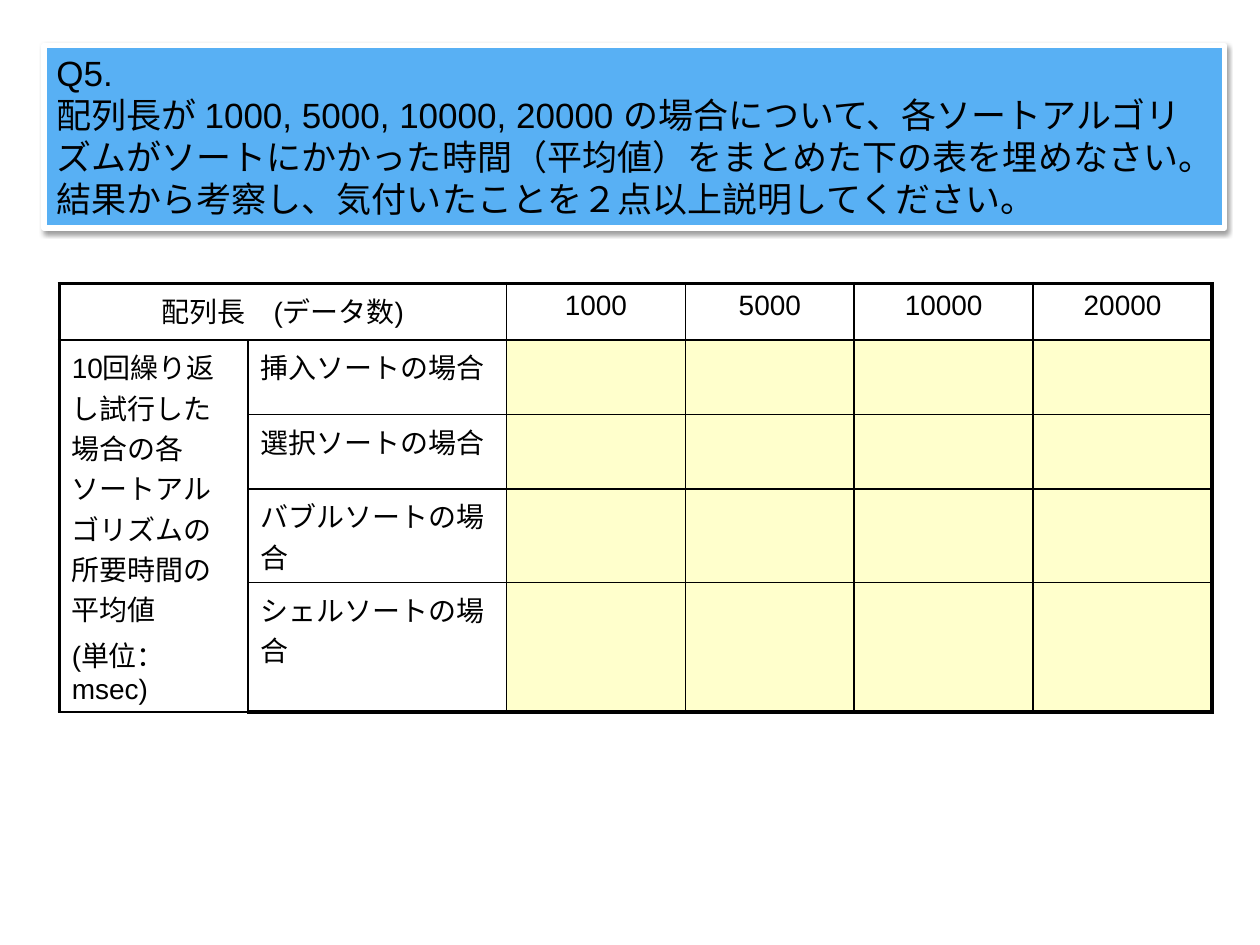
from dataclasses import dataclass

from lxml.etree import SubElement
from pptx import Presentation
from pptx.dml.color import RGBColor
from pptx.enum.shapes import MSO_SHAPE
from pptx.enum.text import MSO_ANCHOR, MSO_AUTO_SIZE, PP_ALIGN
from pptx.oxml.ns import qn
from pptx.util import Pt


@dataclass(frozen=True)
class Theme:
    font: str = "Arial"
    ink: str = "000000"
    paper: str = "FFFFFF"
    banner: str = "58B0F4"
    answer: str = "FFFFCC"
    question_size: float = 20
    table_size: float = 16
    inner_rule: float = 1
    outer_rule: float = 2.25


THEME = Theme()

QUESTION = [
    "Q5.",
    "配列長が 1000, 5000, 10000, 20000 の場合について、各ソートアルゴリズムが"
    "ソートにかかった時間（平均値）をまとめた下の表を埋めなさい。",
    "結果から考察し、気付いたことを２点以上説明してください。",
]
LENGTH_HEADING = "配列長　(データ数)"
LENGTHS = ["1000", "5000", "10000", "20000"]
MEASURE = ["10回繰り返し試行した場合の各ソートアルゴリズムの所要時間の平均値", "(単位：msec)"]
SORTS = ["挿入ソートの場合", "選択ソートの場合", "バブルソートの場合", "シェルソートの場合"]


def write(frame, *lines, size, align=PP_ALIGN.LEFT, gap=0):
    """Fill a text frame with one paragraph per line."""
    for index, line in enumerate(lines):
        paragraph = frame.add_paragraph() if index else frame.paragraphs[0]
        paragraph.alignment = align
        if index and gap:
            paragraph.space_before = Pt(gap)
        run = paragraph.add_run()
        run.text = line
        run.font.name = THEME.font
        run.font.size = Pt(size)
        run.font.color.rgb = RGBColor.from_string(THEME.ink)


def add_soft_shadow(shape):
    shape.shadow.inherit = False
    effects = shape._element.spPr.find(qn("a:effectLst"))
    shadow = SubElement(effects, qn("a:outerShdw"), blurRad=str(Pt(3.1)),
                        dist=str(Pt(1.6)), dir="5400000", rotWithShape="0")
    color = SubElement(shadow, qn("a:srgbClr"), val=THEME.ink)
    SubElement(color, qn("a:alpha"), val="38000")


def add_question(slide, left, top, width, height):
    banner = slide.shapes.add_shape(
        MSO_SHAPE.RECTANGLE, Pt(left), Pt(top), Pt(width), Pt(height))
    banner.fill.solid()
    banner.fill.fore_color.rgb = RGBColor.from_string(THEME.banner)
    banner.line.color.rgb = RGBColor.from_string(THEME.paper)
    banner.line.width = Pt(3)
    add_soft_shadow(banner)
    frame = banner.text_frame
    frame.word_wrap = True
    frame.auto_size = MSO_AUTO_SIZE.SHAPE_TO_FIT_TEXT
    frame.vertical_anchor = MSO_ANCHOR.TOP
    write(frame, *QUESTION, size=THEME.question_size)


def rule_cell(cell, outer_sides):
    """Draw all four borders, heavier on the table's outer sides."""
    properties = cell._tc.get_or_add_tcPr()
    for side in "LRTB":
        weight = THEME.outer_rule if side in outer_sides else THEME.inner_rule
        border = SubElement(properties, qn(f"a:ln{side}"), w=str(Pt(weight)))
        fill = SubElement(border, qn("a:solidFill"))
        SubElement(fill, qn("a:srgbClr"), val=THEME.ink)


def add_timing_table(slide, left, top, column_widths, row_heights):
    last_row, last_column = len(row_heights) - 1, len(column_widths) - 1
    table = slide.shapes.add_table(
        len(row_heights), len(column_widths), Pt(left), Pt(top),
        Pt(sum(column_widths)), Pt(sum(row_heights))).table
    table.first_row = table.horz_banding = False
    for column, width in zip(table.columns, column_widths):
        column.width = Pt(width)
    for row, height in zip(table.rows, row_heights):
        row.height = Pt(height)

    # Borders first, then fills: answers sit right of and below the headings
    for r in range(last_row + 1):
        for c in range(last_column + 1):
            cell = table.cell(r, c)
            edges = {"L": c == 0, "R": c == last_column,
                     "T": r == 0, "B": r == last_row}
            rule_cell(cell, [side for side, outer in edges.items() if outer])
            if r > 0 and c > 1:
                cell.fill.solid()
                cell.fill.fore_color.rgb = RGBColor.from_string(THEME.answer)
            else:
                cell.fill.background()

    # Column headings
    table.cell(0, 0).merge(table.cell(0, 1))
    headings = {0: LENGTH_HEADING, **dict(enumerate(LENGTHS, start=2))}
    for c, heading in headings.items():
        write(table.cell(0, c).text_frame, heading,
              size=THEME.table_size, align=PP_ALIGN.CENTER)

    # Row headings
    table.cell(1, 0).merge(table.cell(last_row, 0))
    write(table.cell(1, 0).text_frame, *MEASURE,
          size=THEME.table_size, gap=0.2 * THEME.table_size)
    for r, sort in enumerate(SORTS, start=1):
        write(table.cell(r, 1).text_frame, sort, size=THEME.table_size)


def main():
    deck = Presentation()
    deck.slide_width, deck.slide_height = Pt(720), Pt(540)
    slide = deck.slides.add_slide(deck.slide_layouts[6])
    add_timing_table(slide, 33.84, 162,
                     column_widths=[108, 147.6, 102.24, 96.48, 102.24, 102.24],
                     row_heights=[32.4] + [42.6] * len(SORTS))
    add_question(slide, 25.2, 25.92, 674.64, 104.4)
    deck.save("out.pptx")


if __name__ == "__main__":
    main()
